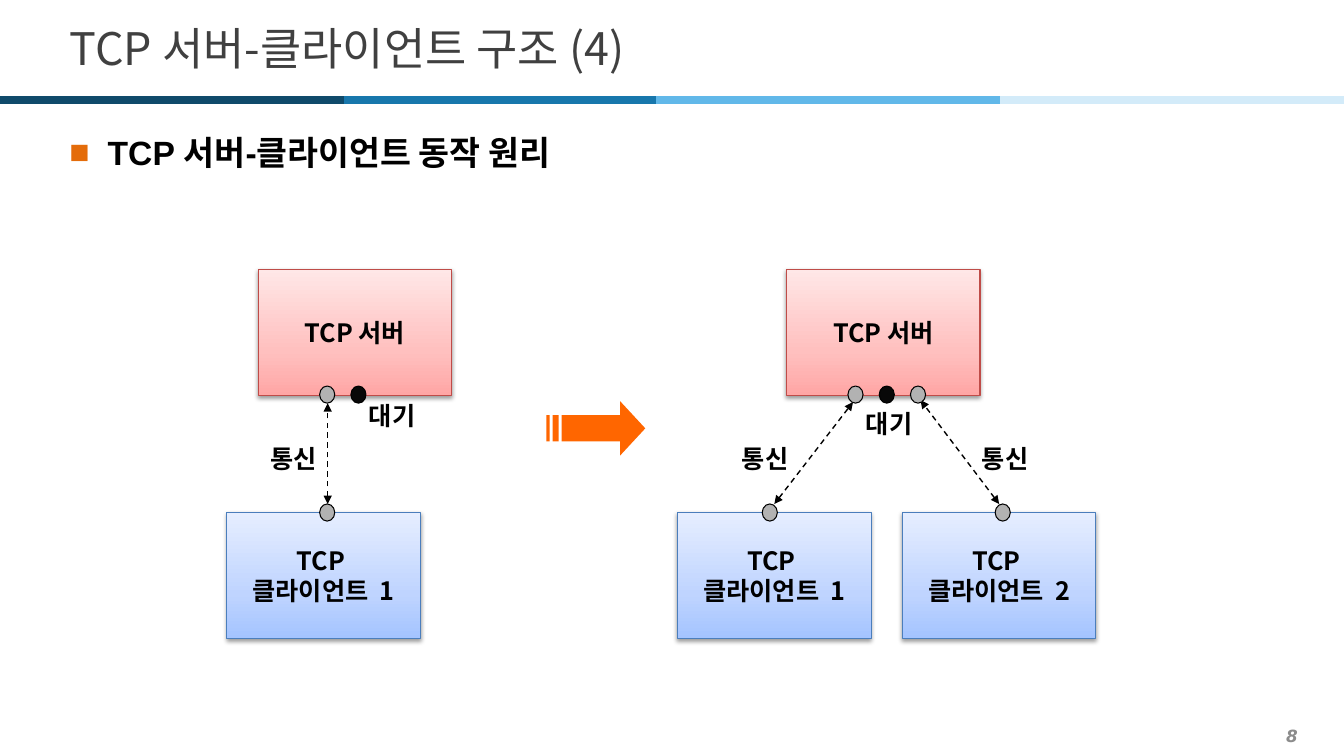
from dataclasses import dataclass
from itertools import pairwise

from lxml import etree
from pptx import Presentation
from pptx import util as u
from pptx.dml.color import RGBColor
from pptx.enum import dml, shapes, text
from pptx.oxml.ns import qn

KOREAN = "Noto Sans CJK KR"
SERVER_FILL = ("FFA6A5", "FFC0BF", "FFE7E7")
CLIENT_FILL = ("A4C4FF", "BFD4FF", "E6EEFF")
WAITING, CONNECTED = "080808", "B2B2B2"
SERVER_TOP, CLIENT_TOP = 2.67, 5.08
SERVER_PORT_TOP, CLIENT_PORT_TOP = 3.83, 5.0


@dataclass
class Host:
    left: float
    top: float
    lines: tuple[str, ...]
    gradient: tuple[str, str, str]
    border: str


@dataclass
class Port:
    left: float
    top: float
    color: str


@dataclass
class Link:
    start: tuple[float, float]
    end: tuple[float, float]


@dataclass
class Label:
    left: float
    top: float
    words: str


def server(left: float) -> Host:
    return Host(left, SERVER_TOP, ("TCP 서버",), SERVER_FILL, "BF4C48")


def client(left: float, number: int) -> Host:
    return Host(left, CLIENT_TOP, ("TCP ", f"클라이언트  {number}"), CLIENT_FILL, "4B7EBC")


HOSTS = [server(2.56), client(2.25, 1), server(7.8), client(6.72, 1), client(8.95, 2)]
LINKS = [
    Link((3.25, 5), (3.25, 4)),
    Link((7.68, 5), (8.46, 3.99)),
    Link((9.91, 5), (9.13, 3.97)),
]
PORTS = [
    *(Port(left, SERVER_PORT_TOP, CONNECTED) for left in (3.17, 8.41, 9.03)),
    *(Port(left, SERVER_PORT_TOP, WAITING) for left in (3.48, 8.72)),
    *(Port(left, CLIENT_PORT_TOP, CONNECTED) for left in (3.17, 7.56, 9.87)),
]
LABELS = [
    *(Label(left, 4.42, "통신") for left in (2.58, 7.26, 9.64)),
    Label(3.56, 4, "대기"),
    Label(8.49, 4.08, "대기"),
]


def rgb(color: str) -> RGBColor:
    return RGBColor.from_string(color)


def inches(*lengths: float) -> list[u.Inches]:
    return [u.Inches(length) for length in lengths]


def style(paragraph, size: float, color: str = "000000", bold: bool = True,
          name: str = KOREAN, align=text.PP_ALIGN.LEFT) -> None:
    paragraph.alignment = align
    font = paragraph.font
    font.size, font.bold, font.name = u.Pt(size), bold, name
    font.color.rgb = rgb(color)
    etree.SubElement(font._element, qn("a:ea"), typeface=KOREAN)


def add_text(slide, box: tuple[float, ...], words: str, anchor=text.MSO_ANCHOR.MIDDLE):
    frame = slide.shapes.add_textbox(*inches(*box)).text_frame
    frame.word_wrap = True
    frame.vertical_anchor = anchor
    frame.text = words
    return frame.paragraphs[0]


def add_line(slide, start: tuple[float, float], end: tuple[float, float],
             color: str, width: float):
    line = slide.shapes.add_connector(
        shapes.MSO_CONNECTOR.STRAIGHT, *inches(*start, *end))
    line.line.color.rgb = rgb(color)
    line.line.width = u.Pt(width)
    etree.SubElement(line._element.spPr, qn("a:effectLst"))
    return line


def add_link(slide, link: Link) -> None:
    line = add_line(slide, link.start, link.end, "000000", 1).line
    line.dash_style = dml.MSO_LINE.DASH
    for tag in ("a:headEnd", "a:tailEnd"):
        etree.SubElement(line._get_or_add_ln(), qn(tag), type="triangle")


def add_host(slide, host: Host) -> None:
    box = slide.shapes.add_shape(
        shapes.MSO_SHAPE.RECTANGLE, *inches(host.left, host.top, 1.92, 1.25))
    box.line.color.rgb = rgb(host.border)
    box.line.width = u.Pt(0.75)
    box.fill.gradient()
    box.fill.gradient_angle = 90
    properties = box._element.spPr
    stops = properties.find(".//" + qn("a:gsLst"))
    stops.clear()
    for percent, color in zip((0, 35, 100), host.gradient):
        stop = etree.SubElement(stops, qn("a:gs"), pos=str(percent * 1000))
        etree.SubElement(stop, qn("a:srgbClr"), val=color)
    box.shadow.inherit = False
    shadow = etree.SubElement(
        properties.find(qn("a:effectLst")), qn("a:outerShdw"),
        blurRad=str(u.Pt(3.1)), dist=str(u.Pt(1.6)), dir="5400000", rotWithShape="0")
    shade = etree.SubElement(shadow, qn("a:srgbClr"), val="000000")
    etree.SubElement(shade, qn("a:alpha"), val="38000")
    frame = box.text_frame
    frame.word_wrap = False
    frame.vertical_anchor = text.MSO_ANCHOR.MIDDLE
    frame.text = "\n".join(host.lines)
    for paragraph in frame.paragraphs:
        style(paragraph, 18, align=text.PP_ALIGN.CENTER)


def add_port(slide, port: Port) -> None:
    dot = slide.shapes.add_shape(
        shapes.MSO_SHAPE.OVAL, *inches(port.left, port.top, 0.15, 0.17))
    dot.shadow.inherit = False
    dot.fill.solid()
    dot.fill.fore_color.rgb = rgb(port.color)
    dot.line.color.rgb = rgb("000000")
    dot.line.width = u.Pt(0.75)


def add_step_arrow(slide) -> None:
    top, bottom = 4.12, 4.38
    head = [(6.15, 3.98), (6.15, top), (5.57, top), (5.57, bottom),
            (6.15, bottom), (6.15, 4.52), (6.4, 4.25)]
    stripes = [[(left, top), (left, bottom), (right, bottom), (right, top)]
               for left, right in ((5.48, 5.54), (5.42, 5.45))]
    first, *rest = [inches(*point) for point in head]
    builder = slide.shapes.build_freeform(*first)
    builder.add_line_segments(rest, close=True)
    for stripe in stripes:
        first, *rest = [inches(*point) for point in stripe]
        builder.move_to(*first)
        builder.add_line_segments(rest, close=True)
    arrow = builder.convert_to_shape()
    arrow.shadow.inherit = False
    arrow.fill.solid()
    arrow.fill.fore_color.rgb = rgb("FF6600")
    arrow.line.fill.background()


def add_heading(slide) -> None:
    title = slide.shapes.title
    title.left, title.top, title.width, title.height = inches(0.59, 0.13, 12.21, 0.68)
    frame = title.text_frame
    frame.text = "TCP 서버-클라이언트 구조 (4)"
    frame.auto_size = text.MSO_AUTO_SIZE.NONE
    frame.vertical_anchor = text.MSO_ANCHOR.MIDDLE
    style(frame.paragraphs[0], 32, "404040", bold=False)
    edges = pairwise((0, 3.41, 6.51, 9.92, 13.33))
    for (left, right), color in zip(edges, ("0F4A6B", "1877AC", "61B8E9", "D3EBF9")):
        add_line(slide, (left, 0.99), (right, 0.99), color, 6)


def add_topic(slide) -> None:
    topic = add_text(slide, (0.59, 1.18, 12.21, 6.03),
                     "TCP 서버-클라이언트 동작 원리", text.MSO_ANCHOR.TOP)
    style(topic, 24, name="Arial")
    topic.line_spacing = 1.2
    topic.space_after = u.Pt(2)
    properties = topic._element.get_or_add_pPr()
    properties.set("marL", str(u.Inches(0.38)))
    properties.set("indent", str(u.Inches(-0.38)))
    bullet_color = etree.Element(qn("a:buClr"))
    etree.SubElement(bullet_color, qn("a:srgbClr"), val="E46C0A")
    bullet_font = etree.Element(qn("a:buFont"), typeface="Arial")
    bullet = etree.Element(qn("a:buChar"), char="■")
    for part in (bullet_color, bullet_font, bullet):
        properties.find(qn("a:defRPr")).addprevious(part)


def main() -> None:
    deck = Presentation()
    deck.slide_width, deck.slide_height = inches(13.33, 7.5)
    slide = deck.slides.add_slide(deck.slide_layouts[5])
    add_heading(slide)
    add_topic(slide)
    for host in HOSTS:
        add_host(slide, host)
    for link in LINKS:
        add_link(slide, link)
    for port in PORTS:
        add_port(slide, port)
    for label in LABELS:
        style(add_text(slide, (label.left, label.top, 1.69, 0.25), label.words), 18)
    add_step_arrow(slide)
    page = add_text(slide, (0.2, 7.14, 12.77, 0.31), "8")
    style(page, 12, "8C8C8C", name="DejaVu Sans", align=text.PP_ALIGN.RIGHT)
    page.font.italic = True
    deck.save("out.pptx")


if __name__ == "__main__":
    main()
